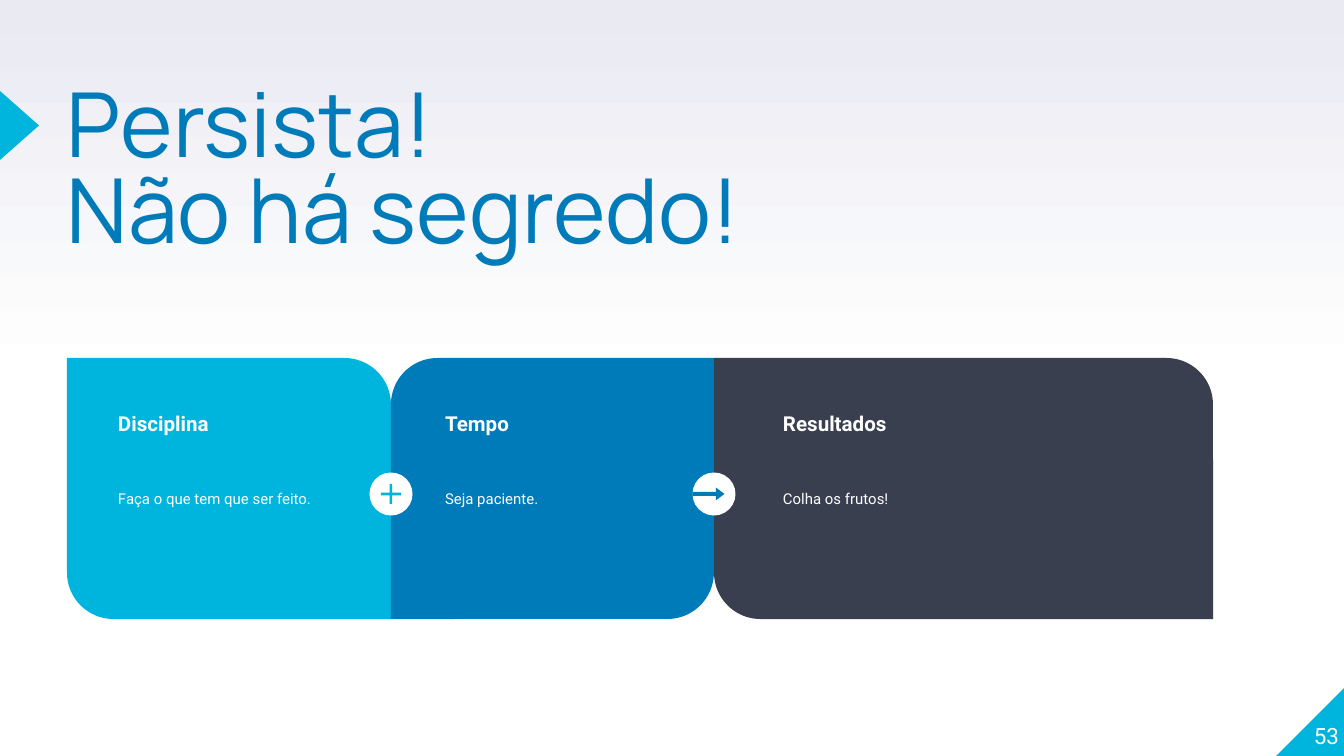
from copy import deepcopy

from pptx import Presentation
from pptx.dml.color import RGBColor
from pptx.enum.shapes import MSO_SHAPE
from pptx.enum.text import MSO_ANCHOR, MSO_AUTO_SIZE, PP_ALIGN
from pptx.util import Pt

EMU_PER_PX = 914400 / 134.4
SLIDE_WIDTH, SLIDE_HEIGHT = 1344, 756

CARD = MSO_SHAPE.ROUND_2_DIAG_RECTANGLE
CIRCLE = MSO_SHAPE.OVAL
TRIANGLE = MSO_SHAPE.ISOSCELES_TRIANGLE
CORNER = MSO_SHAPE.RIGHT_TRIANGLE
PLUS = MSO_SHAPE.MATH_PLUS
ARROW = MSO_SHAPE.RIGHT_ARROW
TOP, BOTTOM = MSO_ANCHOR.TOP, MSO_ANCHOR.BOTTOM
LEFT, RIGHT = PP_ALIGN.LEFT, PP_ALIGN.RIGHT

CYAN, BLUE, DARK = "00B5DD", "007BB9", "3A3F50"
WHITE, LAVENDER = "FFFFFF", "E9EAF2"
HEADING_FONT, BODY_FONT = "Manrope", "Roboto"
TEXT_INSET = 13


def px(length):
    return round(length * EMU_PER_PX)


def color(hex_string):
    return RGBColor.from_string(hex_string)


def add_shape(slide, kind, box, fill, adjustments=(), rotation=0):
    shape = slide.shapes.add_shape(kind, *map(px, box))
    shape.shadow.inherit = False
    shape.fill.solid()
    shape.fill.fore_color.rgb = color(fill)
    shape.line.fill.background()
    shape.rotation = rotation
    for index, value in enumerate(adjustments):
        shape.adjustments[index] = value
    return shape


def format_text(shape, text, size, font=BODY_FONT, fill=WHITE, bold=False,
                inset=0, anchor=TOP, align=LEFT, line_spacing=None):
    frame = shape.text_frame
    frame.text = text
    frame.word_wrap = True
    frame.auto_size = MSO_AUTO_SIZE.NONE
    frame.vertical_anchor = anchor
    frame.margin_left = frame.margin_right = px(inset)
    frame.margin_top = frame.margin_bottom = px(inset)
    paragraph = frame.paragraphs[0]
    paragraph.alignment = align
    paragraph.line_spacing = line_spacing
    for run in paragraph.runs:
        run.font.name = font
        run.font.size = Pt(size)
        run.font.bold = bold
        run.font.color.rgb = color(fill)
    return paragraph


def add_text(slide, box, text, size, **style):
    text_box = slide.shapes.add_textbox(*map(px, box))
    return format_text(text_box, text, size, **style)


def paint_background(slide):
    fill = slide.background.fill
    fill.gradient()
    fill.gradient_angle = 90
    for stop, hex_string in zip(fill.gradient_stops, (WHITE, LAVENDER)):
        stop.color.rgb = color(hex_string)
    # White holds until halfway up
    first_stop = slide.element.xpath(".//p:bg//a:gs")[0]
    middle_stop = deepcopy(first_stop)
    middle_stop.set("pos", "50000")
    first_stop.addnext(middle_stop)


def add_header(slide, left, top, width, height):
    # Pointer at the slide edge, turned to the right
    add_shape(slide, TRIANGLE, (-15, top + 17, 69, 39), CYAN, rotation=90)
    title = slide.shapes.title
    title.left, title.top, title.width, title.height = map(
        px, (left, top, width, height))
    format_text(title, "Persista!\vNão há segredo!", 48, font=HEADING_FONT,
                fill=BLUE, line_spacing=0.8)


def add_page_number(slide, number, size):
    left, top = SLIDE_WIDTH - size, SLIDE_HEIGHT - size
    add_shape(slide, CORNER, (left, top, size, size), CYAN, rotation=270)
    add_text(slide, (left - 5, top - 7, size, size), number, 12,
             anchor=BOTTOM, align=RIGHT)


def add_card(slide, left, top, width, height, fill, corners, indent,
             heading, body):
    add_shape(slide, CARD, (left, top, width, height), fill, corners)
    text_left, text_width = left + indent, width - 2 * indent
    add_text(slide, (text_left, top + 40, text_width, 77), heading, 11,
             bold=True, inset=TEXT_INSET)
    paragraph = add_text(slide, (text_left, top + 116, text_width, 85), body,
                         8, inset=TEXT_INSET, line_spacing=1.15)
    paragraph.space_after = Pt(16)


def add_badge(slide, center_x, center_y, size, kind, symbol_box, fill,
              adjustments):
    left, top = center_x - size / 2, center_y - size / 2
    add_shape(slide, CIRCLE, (left, top, size, size), WHITE)
    offset_x, offset_y, width, height = symbol_box
    add_shape(slide, kind, (left + offset_x, top + offset_y, width, height),
              fill, adjustments)


def add_formula(slide, left, top, height):
    falling, rising = (0.178, 0), (0, 0.178)  # which diagonal is rounded
    cards = [
        (324, CYAN, rising, 38, "Disciplina", "Faça o que tem que ser feito."),
        (323, BLUE, falling, 41, "Tempo", "Seja paciente."),
        (499, DARK, rising, 56, "Resultados", "Colha os frutos!"),
    ]
    seams = []
    for width, *content in cards:
        add_card(slide, left, top, width, height, *content)
        left += width
        seams.append(left)

    # Symbols on the seams between the cards
    symbols = [
        (PLUS, (8, 8, 27, 27), CYAN, [0.099]),
        (ARROW, (0, 15, 32, 13), BLUE, [0.32, 0.67]),
    ]
    for seam, symbol in zip(seams, symbols):
        add_badge(slide, seam, top + 136, 43, *symbol)


def main():
    presentation = Presentation()
    presentation.slide_width = px(SLIDE_WIDTH)
    presentation.slide_height = px(SLIDE_HEIGHT)
    slide = presentation.slides.add_slide(presentation.slide_layouts[5])
    paint_background(slide)
    add_header(slide, 67, 89, 829, 159)
    add_page_number(slide, "53", 68)
    add_formula(slide, 67, 358, 261)
    presentation.save("out.pptx")


if __name__ == "__main__":
    main()
